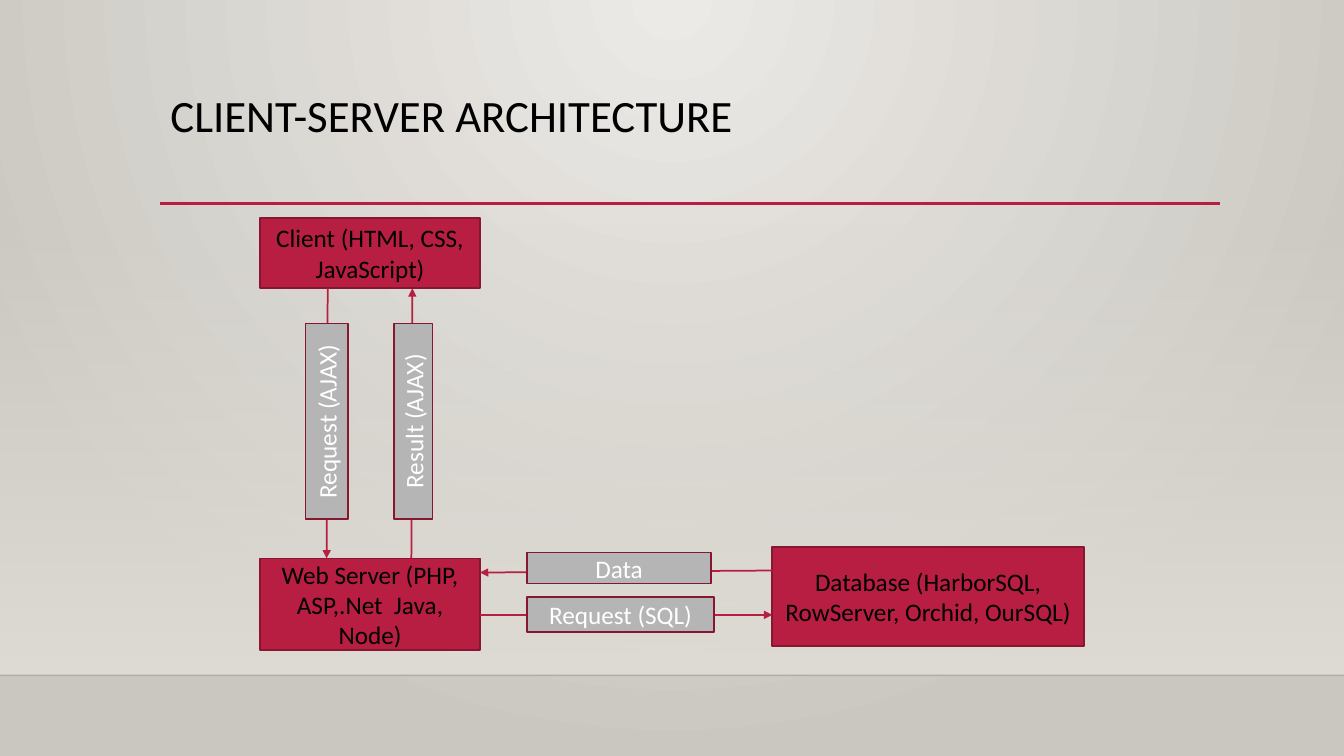
from dataclasses import dataclass

from lxml import etree
from pptx import Presentation
from pptx.dml.color import RGBColor
from pptx.enum.shapes import MSO_CONNECTOR, MSO_SHAPE
from pptx.enum.text import MSO_ANCHOR, MSO_AUTO_SIZE, PP_ALIGN
from pptx.oxml.ns import qn
from pptx.util import Inches, Pt

RECT = MSO_SHAPE.RECTANGLE
LINE = MSO_CONNECTOR.STRAIGHT
TOP, MIDDLE = MSO_ANCHOR.TOP, MSO_ANCHOR.MIDDLE
LEFT, CENTER = PP_ALIGN.LEFT, PP_ALIGN.CENTER
NO_FIT = MSO_AUTO_SIZE.NONE


@dataclass(frozen=True)
class Theme:
    """Colours, font and sizes of the slide."""
    font: str = "Calibri"
    head: int = 32
    body: int = 18
    thin: float = 1.25
    rule: float = 2.5
    dark: str = "000000"
    light: str = "FFFFFF"
    red: str = "B71E42"
    edge: str = "871631"
    gray: str = "B5B5B5"
    wall: tuple = ("ECEAE7", "CAC7C1")
    haze: str = "DFDBD5"


THEME = Theme()
NODES = [
    ("Client (HTML, CSS, JavaScript)", (2.58, 2.16, 2.18, 0.7)),
    ("Database (HarborSQL, RowServer, Orchid, OurSQL)", (7.66, 5.43, 3.09, 0.98)),
    ("Web Server (PHP, ASP,.Net  Java, Node)", (2.58, 5.54, 2.18, 0.91)),
]
FLOWS = [
    ("Request (AJAX)", (3.25, 2.86), (3.24, 5.54), (2.27, 3.97, 1.94, 0.42), 270),
    ("Result (AJAX)", (4.08, 5.54), (4.09, 2.86), (3.13, 3.99, 1.94, 0.38), 270),
    ("Request (SQL)", (4.76, 6.1), (7.66, 6.1), (5.23, 5.92, 1.85, 0.35), 0),
    ("Data", (7.66, 5.66), (4.76, 5.68), (5.23, 5.48, 1.82, 0.31), 0),
]


def rgb(code):
    """Turn a hex code into a colour."""
    return RGBColor.from_string(code)


def write(shape, text, size=THEME.body, color=THEME.dark, align=CENTER,
          anchor=MIDDLE, space=1.0):
    """Put formatted text into a shape."""
    frame = shape.text_frame
    frame.word_wrap = True
    frame.auto_size = NO_FIT
    frame.vertical_anchor = anchor
    frame.text = text
    para = frame.paragraphs[0]
    para.alignment = align
    para.line_spacing = space
    font = para.runs[0].font
    font.name, font.size = THEME.font, Pt(size)
    font.color.rgb = rgb(color)


def fade(node, alpha):
    """Set the opacity of a colour element in percent."""
    etree.SubElement(node, qn("a:alpha"), val=str(alpha * 1000))


def blend(fill, colors):
    """Give a fill a gradient of two colours."""
    fill.gradient()
    for stop, code in zip(fill.gradient_stops, colors):
        stop.color.rgb = rgb(code)


def paint(slide):
    """Draw the round background glow and the haze over it."""
    blend(slide.background.fill, THEME.wall)
    grad = slide.element.find(".//" + qn("a:gradFill"))
    grad.remove(grad.find(qn("a:lin")))
    glow = etree.SubElement(grad, qn("a:path"), {"path": "circle"})
    etree.SubElement(glow, qn("a:fillToRect"), l="43000", t="0", r="43000", b="100000")
    haze = slide.shapes.add_shape(RECT, *map(Inches, (0, 2.21, 13.33, 4.49)))
    haze.shadow.inherit = False
    haze.line.fill.background()
    blend(haze.fill, (THEME.haze, THEME.haze))
    haze.fill.gradient_angle = 270
    fade(haze.element.find(".//" + qn("a:srgbClr")), 0)


def box(slide, text, place, fill, color, turn=0):
    """Add a bordered box with centred text."""
    shape = slide.shapes.add_shape(RECT, *map(Inches, place))
    shape.shadow.inherit = False
    shape.rotation = turn
    shape.fill.solid()
    shape.fill.fore_color.rgb = rgb(fill)
    shape.line.color.rgb = rgb(THEME.edge)
    shape.line.width = Pt(THEME.thin)
    write(shape, text, color=color)


def line(slide, start, end, color=THEME.red, width=THEME.thin, arrow=False, alpha=100):
    """Add a straight line, with an arrowhead at its end if asked."""
    link = slide.shapes.add_connector(LINE, *map(Inches, start + end))
    link.line.color.rgb = rgb(color)
    link.line.width = Pt(width)
    props = link.element.spPr
    if alpha < 100:
        fade(props.find(".//" + qn("a:srgbClr")), alpha)
    if arrow:
        etree.SubElement(props.find(qn("a:ln")), qn("a:tailEnd"), type="triangle")
    etree.SubElement(props, qn("a:effectLst"))


def main():
    """Build and save the slide."""
    deck = Presentation()
    deck.slide_width, deck.slide_height = Inches(13.33), Inches(7.5)
    slide = deck.slides.add_slide(deck.slide_layouts[5])
    paint(slide)
    line(slide, (0, 6.7), (13.33, 6.7), color=THEME.dark, width=1, alpha=20)
    line(slide, (1.59, 2.02), (12.1, 2.02), width=THEME.rule)
    title = slide.shapes.title
    title.left, title.top, title.width, title.height = map(Inches, (1.59, 0.88, 10.5, 1.15))
    write(title, "CLIENT-SERVER ARCHITECTURE", size=THEME.head, align=LEFT,
          anchor=TOP, space=0.9)
    for text, place in NODES:
        box(slide, text, place, THEME.red, THEME.dark)
    for text, start, end, place, turn in FLOWS:
        line(slide, start, end, arrow=True)
        box(slide, text, place, THEME.gray, THEME.light, turn)
    deck.save("out.pptx")


if __name__ == "__main__":
    main()
